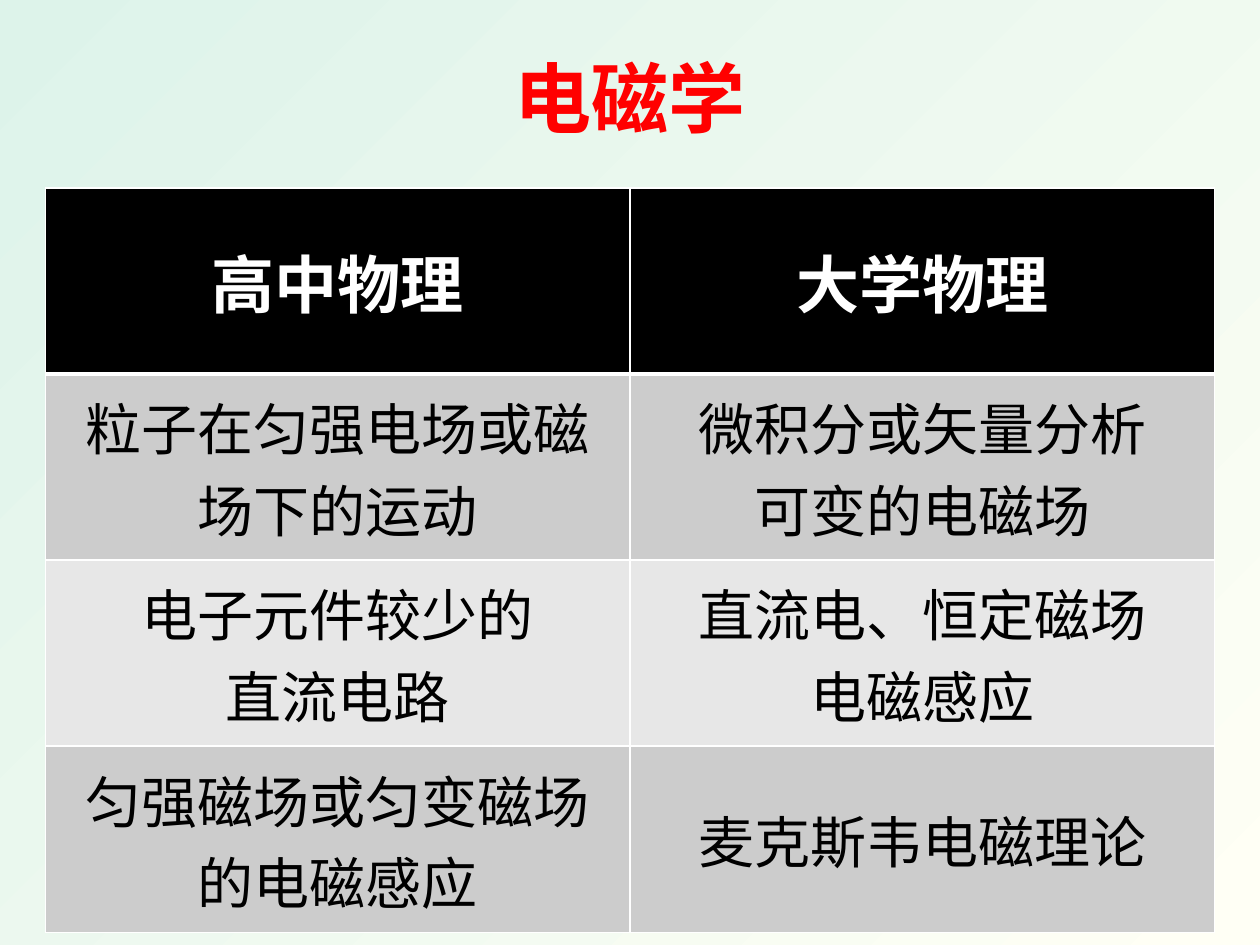
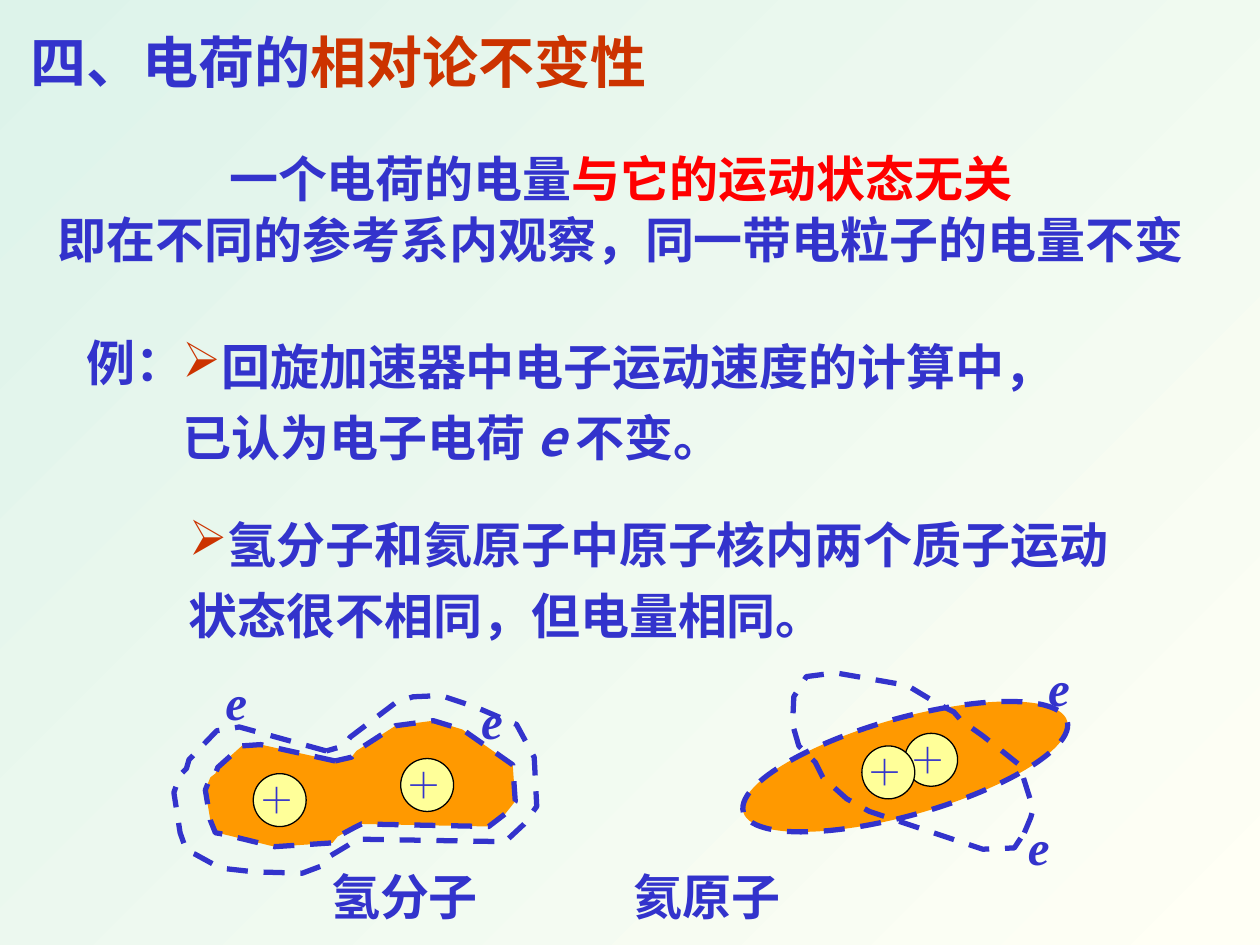
"""Build two physics lecture slides: a topic table and charge invariance."""
from lxml.etree import SubElement
from pptx import Presentation
from pptx.dml.color import RGBColor
from pptx.enum.dml import MSO_LINE
from pptx.enum.shapes import MSO_SHAPE as Preset
from pptx.enum.text import MSO_ANCHOR as Anchor, MSO_AUTO_SIZE as AutoSize, PP_ALIGN as Align
from pptx.oxml.ns import qn
from pptx.util import Inches, Pt

SANS, SERIF = "Noto Sans CJK SC", "Times New Roman"
BLUE, RED, RUST = "3333CC", "FF0000", "CC3300"
ORANGE, YELLOW, BLACK, WHITE = "FF9900", "FFFF99", "000000", "FFFFFF"
colour = RGBColor.from_string


def write(frame, *lines, size=28, font=SANS, color=BLUE, bold=True, italic=False,
          align=Align.LEFT, anchor=Anchor.TOP, spacing=None, before=0, bullet=None):
    """Fill a text frame; a line is a string or a list of (text, colour, italic) runs."""
    frame.word_wrap = True
    frame.auto_size = AutoSize.NONE
    frame.vertical_anchor = anchor
    for number, line in enumerate(lines):
        paragraph = frame.add_paragraph() if number else frame.paragraphs[0]
        if bullet and number == 0:
            properties = paragraph._p.get_or_add_pPr()
            tint = SubElement(properties, qn("a:buClr"))
            SubElement(tint, qn("a:srgbClr"), val=RUST)
            SubElement(properties, qn("a:buChar"), char=bullet)
        paragraph.alignment = align
        if spacing:
            paragraph.line_spacing = spacing
        if number and before:
            paragraph.space_before = Pt(before)
        for text, run_color, slanted in [(line, color, italic)] if isinstance(line, str) else line:
            run = paragraph.add_run()
            run.text = text
            run.font.size, run.font.bold, run.font.italic = Pt(size), bold, slanted
            run.font.color.rgb = colour(run_color)
            run.font.name = font
            SubElement(run._r.get_or_add_rPr(), qn("a:ea"), typeface=font)


def paint(shape, fill, line, width, dash=None):
    """Give a shape a flat fill and an outline."""
    shape.shadow.inherit = False
    if fill:
        shape.fill.solid()
        shape.fill.fore_color.rgb = colour(fill)
    else:
        shape.fill.background()
    shape.line.color.rgb = colour(line)
    shape.line.width = Pt(width)
    if dash:
        shape.line.dash_style = dash


presentation = Presentation()
presentation.slide_width, presentation.slide_height = Inches(10), Inches(7.5)
grid = presentation.slide_width // 1000

backdrop = presentation.slide_master.background.fill
backdrop.gradient()
backdrop.gradient_angle = 315
for stop, tone, position in zip(backdrop.gradient_stops, ("DDF3EA", "FFFFF5"), (0, 1)):
    stop.color.rgb = colour(tone)
    stop.position = position

titles = [
    ((361, 29, 278, 95), "电磁学", dict(size=44, color=RED, align=Align.CENTER)),
    ((14, 17, 520, 63), [("四、电荷的", BLUE, False), ("相对论不变性", RUST, False)], dict(size=32)),
]
slides = []
for place, heading, style in titles:
    slide = presentation.slides.add_slide(presentation.slide_layouts[5])
    title = slide.shapes.title
    title.left, title.top, title.width, title.height = (grid * count for count in place)
    write(title.text_frame, heading, anchor=Anchor.MIDDLE, **style)
    slides.append(slide)
topic_slide, charge_slide = slides

topics = [
    [["高中物理"], ["大学物理"]],
    [["粒子在匀强电场或磁场下的运动"], ["微积分或矢量分析", "可变的电磁场"]],
    [["电子元件较少的", "直流电路"], ["直流电、恒定磁场", "电磁感应"]],
    [["匀强磁场或匀变磁场的电磁感应"], ["麦克斯韦电磁理论"]],
]
place = (grid * count for count in (36, 149, 928, 591))
table = topic_slide.shapes.add_table(len(topics), 2, *place).table
for row_number, row in enumerate(topics):
    header = row_number == 0
    fill = BLACK if header else ("E7E7E7", "CCCCCC")[row_number % 2]
    for column_number, lines in enumerate(row):
        cell = table.cell(row_number, column_number)
        write(cell.text_frame, *lines, size=36 if header else 32, bold=header,
              color=WHITE if header else BLACK, align=Align.CENTER)
        cell.vertical_anchor = Anchor.MIDDLE
        for side in "LRTB":
            heavy = (row_number, side) in ((0, "B"), (1, "T"))
            border = SubElement(cell._tc.get_or_add_tcPr(), qn(f"a:ln{side}"),
                                w=str(Pt(3 if heavy else 1)))
            SubElement(SubElement(border, qn("a:solidFill")), qn("a:srgbClr"), val=WHITE)
        cell.fill.solid()
        cell.fill.fore_color.rgb = colour(fill)

shapes = charge_slide.shapes
helium_orbit = shapes.add_shape(Preset.OVAL, *(grid * count for count in (585, 570, 267, 77)))
helium_orbit.rotation = 344.3
paint(helium_orbit, ORANGE, BLUE, 3, MSO_LINE.DASH)

hydrogen_cloud = [
    (266, 604), (207, 591), (192, 592), (173, 609), (171, 614), (167, 617), (163, 627),
    (167, 651), (171, 661), (177, 662), (218, 672), (264, 669), (268, 664), (281, 657),
    (287, 654), (388, 656), (401, 646), (409, 636), (407, 607), (367, 579), (344, 572),
    (314, 576), (283, 596), (279, 601)]
helium_cloud = [
    (813, 661), (818, 649), (820, 642), (809, 607), (799, 599), (780, 584), (763, 572),
    (757, 565), (745, 559), (720, 544), (663, 534), (640, 537), (630, 553), (629, 575),
    (634, 592), (647, 605), (653, 617), (672, 634), (690, 644), (780, 674), (805, 673)]
hydrogen_halo = [
    (259, 596), (190, 577), (172, 580), (150, 603), (148, 610), (143, 615), (138, 629),
    (143, 661), (148, 675), (155, 678), (175, 689), (202, 692), (240, 693), (256, 687),
    (261, 680), (276, 671), (283, 666), (401, 668), (416, 654), (426, 640), (424, 601),
    (410, 575), (377, 561), (350, 552), (328, 553), (315, 557), (278, 585), (273, 592)]
for cloud, fill in ((hydrogen_cloud, ORANGE), (helium_cloud, None), (hydrogen_halo, None)):
    builder = shapes.build_freeform(*cloud[0], scale=grid)
    builder.add_line_segments(cloud[1:], close=True)
    paint(builder.convert_to_shape(), fill, BLUE, 3, MSO_LINE.DASH)

protons = [(318, 602), (201, 614), (718, 582), (684, 592)]
for left, top in protons:
    proton = shapes.add_shape(Preset.OVAL, grid * left, grid * top, grid * 42, grid * 42)
    paint(proton, YELLOW, BLACK, 0.75)

labels = [((left - 5, top - 1, 55, 43), ["＋"], dict(size=20, font=SERIF)) for left, top in protons]
labels += [((left, top, 40, 57), ["e"], dict(font=SERIF, italic=True))
           for left, top in ((372, 543), (822, 517), (806, 643), (169, 528))]
labels += [((left, 683, 140, 57), [name], {}) for left, name in ((253, "氢分子"), (493, "氦原子"))]
example = dict(spacing=1.2, bullet="➢")
labels += [
    ((20, 115, 945, 109),
     [[("一个电荷的电量", BLUE, False), ("与它的运动状态无关", RED, False)],
      "即在不同的参考系内观察，同一带电粒子的电量不变"],
     dict(align=Align.CENTER, anchor=Anchor.MIDDLE, spacing=0.8, before=8)),
    ((59, 259, 105, 57), ["例："], {}),
    ((135, 253, 760, 122),
     ["回旋加速器中电子运动速度的计算中，",
      [("已认为电子电荷 ", BLUE, False), ("e ", BLUE, True), ("不变。", BLUE, False)]], example),
    ((140, 394, 760, 122),
     ["氢分子和氦原子中原子核内两个质子运动", "状态很不相同，但电量相同。"],
     dict(example, anchor=Anchor.MIDDLE)),
]
for place, lines, style in labels:
    label = shapes.add_textbox(*(grid * count for count in place))
    write(label.text_frame, *lines, **style)

presentation.save("out.pptx")
